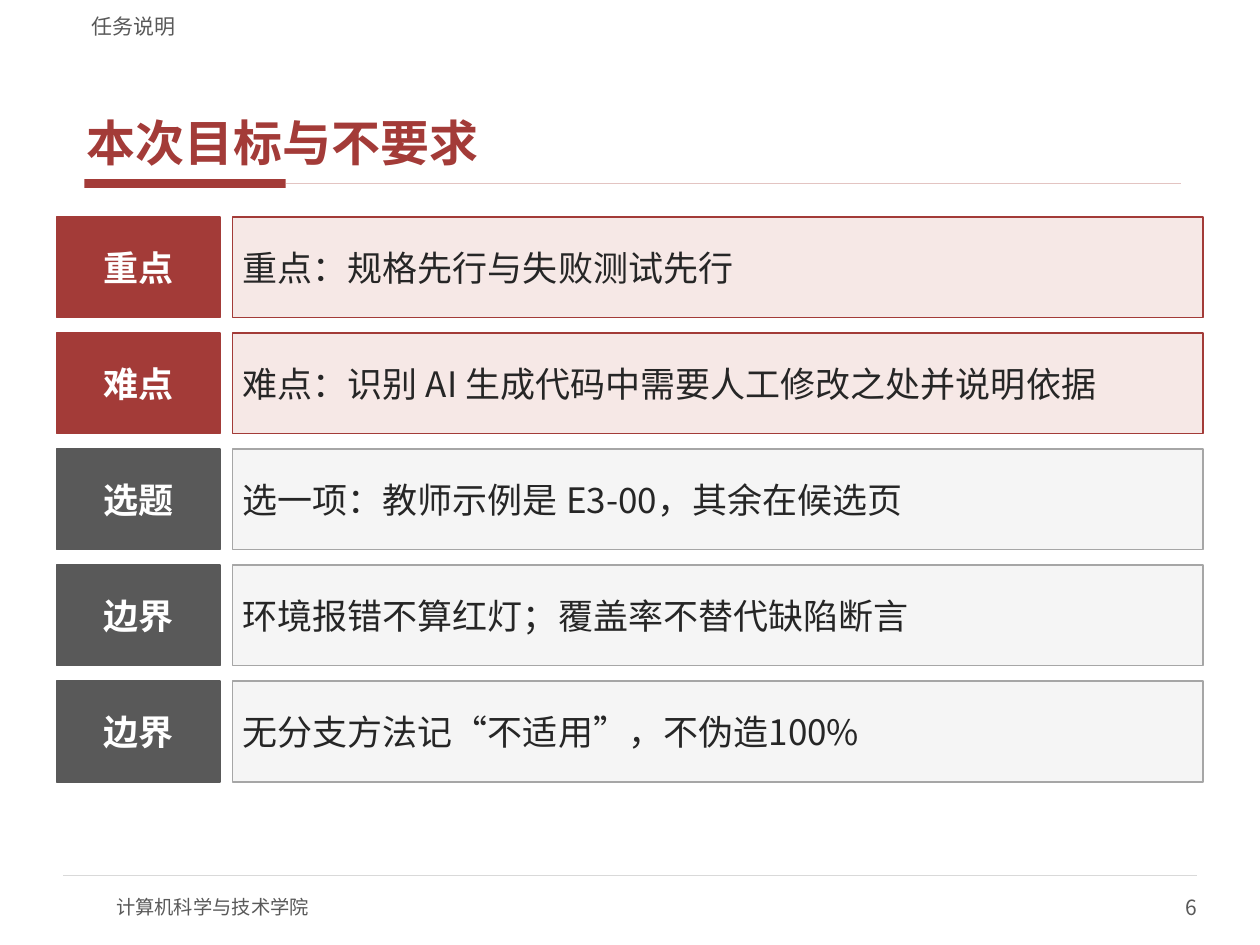
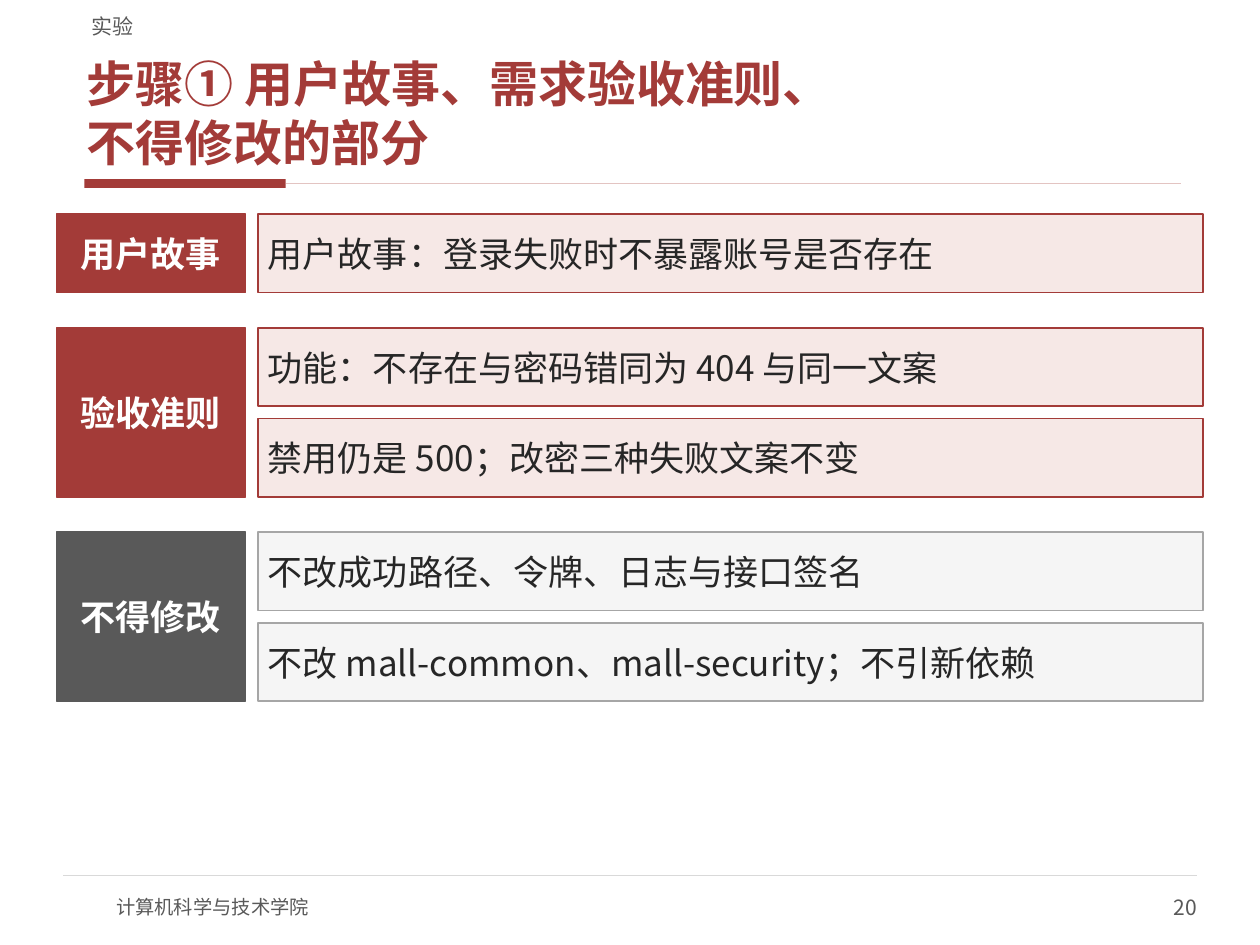
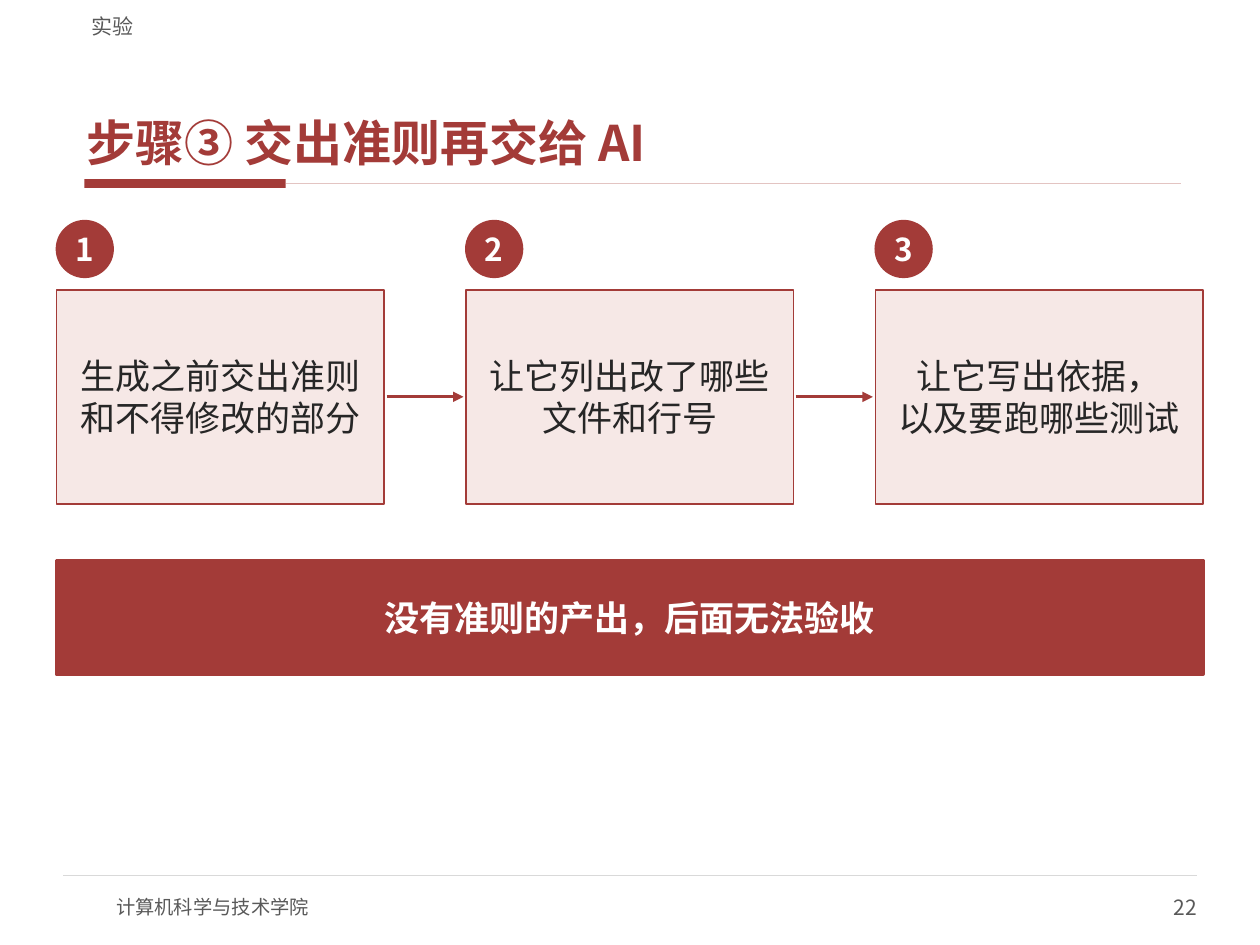
import collections
import dataclasses

import lxml.etree
import pptx
import pptx.dml.color
import pptx.enum.lang
import pptx.enum.shapes
import pptx.enum.text
import pptx.oxml.ns
import pptx.util

Cm = pptx.util.Cm
Align = pptx.enum.text.PP_ALIGN
Anchor = pptx.enum.text.MSO_ANCHOR
Preset = pptx.enum.shapes.MSO_SHAPE
Box = collections.namedtuple("Box", "left top width height")
Tone = collections.namedtuple("Tone", "strong pale outline")


@dataclasses.dataclass(frozen=True)
class Theme:
    font: str = "Noto Sans CJK SC"
    red: str = "A33B38"
    grey: str = "595959"
    ink: str = "262626"
    white: str = "FFFFFF"
    title_rule: str = "E3C4C2"
    footer_rule: str = "D9D9D9"
    key: Tone = Tone("A33B38", "F6E8E6", "A33B38")
    neutral: Tone = Tone("595959", "F5F5F5", "A6A6A6")
    title_size: int = 28
    body_size: int = 20
    badge_size: int = 18
    small_size: int = 12
    footer_size: int = 11


THEME = Theme()
INSETS = (0.2, 0.1)
CONTENT_LEFT, CONTENT_WIDTH = 1.14, 23.11


def color(value):
    return pptx.dml.color.RGBColor.from_string(value)


def write(shape, text, size, ink, bold=False, align=Align.LEFT,
          anchor=Anchor.MIDDLE, insets=(0, 0)):
    frame = shape.text_frame
    frame.word_wrap = True
    frame.auto_size = pptx.enum.text.MSO_AUTO_SIZE.NONE
    frame.vertical_anchor = anchor
    frame.margin_left = frame.margin_right = Cm(insets[0])
    frame.margin_top = frame.margin_bottom = Cm(insets[1])
    paragraph = frame.paragraphs[0]
    paragraph.alignment = align
    paragraph.space_before = pptx.util.Pt(0)
    for index, line in enumerate(text.split("\n")):
        if index:
            paragraph.add_line_break()
        run = paragraph.add_run()
        run.text = line
        font = run.font
        font.name = THEME.font
        font.size = pptx.util.Pt(size)
        font.bold = bold
        font.color.rgb = color(ink)
        font.language_id = pptx.enum.lang.MSO_LANGUAGE_ID.SIMPLIFIED_CHINESE
        east_asian = lxml.etree.Element(pptx.oxml.ns.qn("a:ea"), typeface=THEME.font)
        run._r.rPr.find(pptx.oxml.ns.qn("a:latin")).addnext(east_asian)
    return paragraph


def add_label(slide, box, text, size, ink, **style):
    shape = slide.shapes.add_textbox(*map(Cm, box))
    write(shape, text, size, ink, **style)


def add_block(slide, box, fill, outline=None, width=1, preset=Preset.RECTANGLE):
    shape = slide.shapes.add_shape(preset, *map(Cm, box))
    shape.shadow.inherit = False
    shape.fill.solid()
    shape.fill.fore_color.rgb = color(fill)
    if outline:
        shape.line.color.rgb = color(outline)
        shape.line.width = pptx.util.Pt(width)
    else:
        shape.line.fill.background()
    return shape


def add_strong(slide, box, text, fill, width=1):
    shape = add_block(slide, box, fill, fill, width)
    write(shape, text, THEME.body_size, THEME.white, bold=True,
          align=Align.CENTER, insets=INSETS)


def add_pale(slide, box, text, tone, align=Align.LEFT):
    shape = add_block(slide, box, tone.pale, tone.outline)
    write(shape, text, THEME.body_size, THEME.ink, align=align, insets=INSETS)


def add_line(slide, left, right, y, ink, width, arrow=False):
    line = slide.shapes.add_connector(
        pptx.enum.shapes.MSO_CONNECTOR.STRAIGHT, Cm(left), Cm(y), Cm(right), Cm(y))
    line.line.color.rgb = color(ink)
    line.line.width = pptx.util.Pt(width)
    if arrow:
        lxml.etree.SubElement(line.line._get_or_add_ln(),
                              pptx.oxml.ns.qn("a:tailEnd"), type="triangle")
    lxml.etree.SubElement(line._element.spPr, pptx.oxml.ns.qn("a:effectLst"))


def add_header(slide, box, section, title):
    accent_left, accent_width = box.left + 0.1, 4.06
    accent_right = accent_left + accent_width
    add_block(slide, Box(accent_left, box.top + 3.51, accent_width, 0.18), THEME.red)
    add_line(slide, accent_right, box.left + box.width - 0.03, box.top + 3.6,
             THEME.title_rule, 1)
    placeholder = slide.shapes.title
    placeholder.left, placeholder.top = Cm(box.left), Cm(box.top + 0.74)
    placeholder.width, placeholder.height = Cm(box.width), Cm(2.67)
    paragraph = write(placeholder, title, THEME.title_size, THEME.red, bold=True,
                      anchor=Anchor.BOTTOM, insets=(0.15, 0.05))
    paragraph.space_after = pptx.util.Pt(2)
    add_label(slide, Box(box.left, box.top, box.width, 0.69), section,
              THEME.small_size, THEME.grey, anchor=Anchor.BOTTOM, insets=(0.25, 0))


def add_footer(slide, box, page):
    right = box.left + box.width
    add_line(slide, box.left, right, box.top, THEME.footer_rule, 0.75)
    add_label(slide, Box(box.left + 1.07, box.top + 0.13, 10.16, 1.02),
              "计算机科学与技术学院", THEME.footer_size, THEME.grey)
    add_label(slide, Box(right - 5.08, box.top + 0.13, 5.08, 1.02), str(page),
              THEME.small_size, THEME.grey, align=Align.RIGHT)


def add_page(presentation, section, title, page):
    slide = presentation.slides.add_slide(presentation.slide_layouts[5])
    add_header(slide, Box(1.6, 0.1, 22.23, 3.7), section, title)
    add_footer(slide, Box(1.27, 17.65, 22.86, 1.15), page)
    return slide


def add_ledger(slide, box, groups, label_width, row_height, group_gap):
    gap = 0.25
    items_left = box.left + label_width + gap
    items_width = box.width - label_width - gap
    top = box.top
    for label, tone, items in groups:
        height = len(items) * (row_height + gap) - gap
        add_strong(slide, Box(box.left, top, label_width, height), label, tone.strong)
        for index, item in enumerate(items):
            row_top = top + index * (row_height + gap)
            add_pale(slide, Box(items_left, row_top, items_width, row_height), item, tone)
        top += height + group_gap


def add_process(slide, box, steps, conclusion):
    badge, gap, card_height, arrow_margin = 1.14, 1.65, 4.32, 0.05
    card_width = (box.width - gap * (len(steps) - 1)) / len(steps)
    card_top = box.top + badge + 0.25
    for index, step in enumerate(steps):
        left = box.left + index * (card_width + gap)
        circle = add_block(slide, Box(left, box.top, badge, badge), THEME.red,
                           THEME.red, preset=Preset.OVAL)
        write(circle, str(index + 1), THEME.badge_size, THEME.white, bold=True,
              align=Align.CENTER)
        add_pale(slide, Box(left, card_top, card_width, card_height), step,
                 THEME.key, Align.CENTER)
        if index:
            add_line(slide, left - gap + arrow_margin, left - arrow_margin,
                     card_top + card_height / 2, THEME.red, 1.75, arrow=True)
    banner_height = 2.29
    banner_top = box.top + box.height - banner_height
    add_strong(slide, Box(box.left, banner_top, box.width, banner_height),
               conclusion, THEME.red, 2.25)


def main():
    presentation = pptx.Presentation()
    presentation.slide_width, presentation.slide_height = Cm(25.4), Cm(19.05)

    goals = add_page(presentation, "任务说明", "本次目标与不要求", 6)
    add_ledger(goals, Box(CONTENT_LEFT, 4.37, CONTENT_WIDTH, 11.4), [
        ("重点", THEME.key, ["重点：规格先行与失败测试先行"]),
        ("难点", THEME.key, ["难点：识别 AI 生成代码中需要人工修改之处并说明依据"]),
        ("选题", THEME.neutral, ["选一项：教师示例是 E3-00，其余在候选页"]),
        ("边界", THEME.neutral, ["环境报错不算红灯；覆盖率不替代缺陷断言"]),
        ("边界", THEME.neutral, ["无分支方法记“不适用”，不伪造100%"]),
    ], label_width=3.3, row_height=2.03, group_gap=0.31)

    criteria = add_page(presentation, "实验",
                        "步骤① 用户故事、需求验收准则、\n不得修改的部分", 20)
    add_ledger(criteria, Box(CONTENT_LEFT, 4.32, CONTENT_WIDTH, 9.8), [
        ("用户故事", THEME.key, ["用户故事：登录失败时不暴露账号是否存在"]),
        ("验收准则", THEME.key, ["功能：不存在与密码错同为 404 与同一文案",
                             "禁用仍是 500；改密三种失败文案不变"]),
        ("不得修改", THEME.neutral, ["不改成功路径、令牌、日志与接口签名",
                                 "不改 mall-common、mall-security；不引新依赖"]),
    ], label_width=3.81, row_height=1.58, group_gap=0.71)

    handover = add_page(presentation, "实验", "步骤③ 交出准则再交给 AI", 22)
    add_process(handover, Box(CONTENT_LEFT, 4.45, CONTENT_WIDTH, 9.14), [
        "生成之前交出准则和不得修改的部分",
        "让它列出改了哪些文件和行号",
        "让它写出依据，\n以及要跑哪些测试",
    ], "没有准则的产出，后面无法验收")

    presentation.save("out.pptx")


if __name__ == "__main__":
    main()
